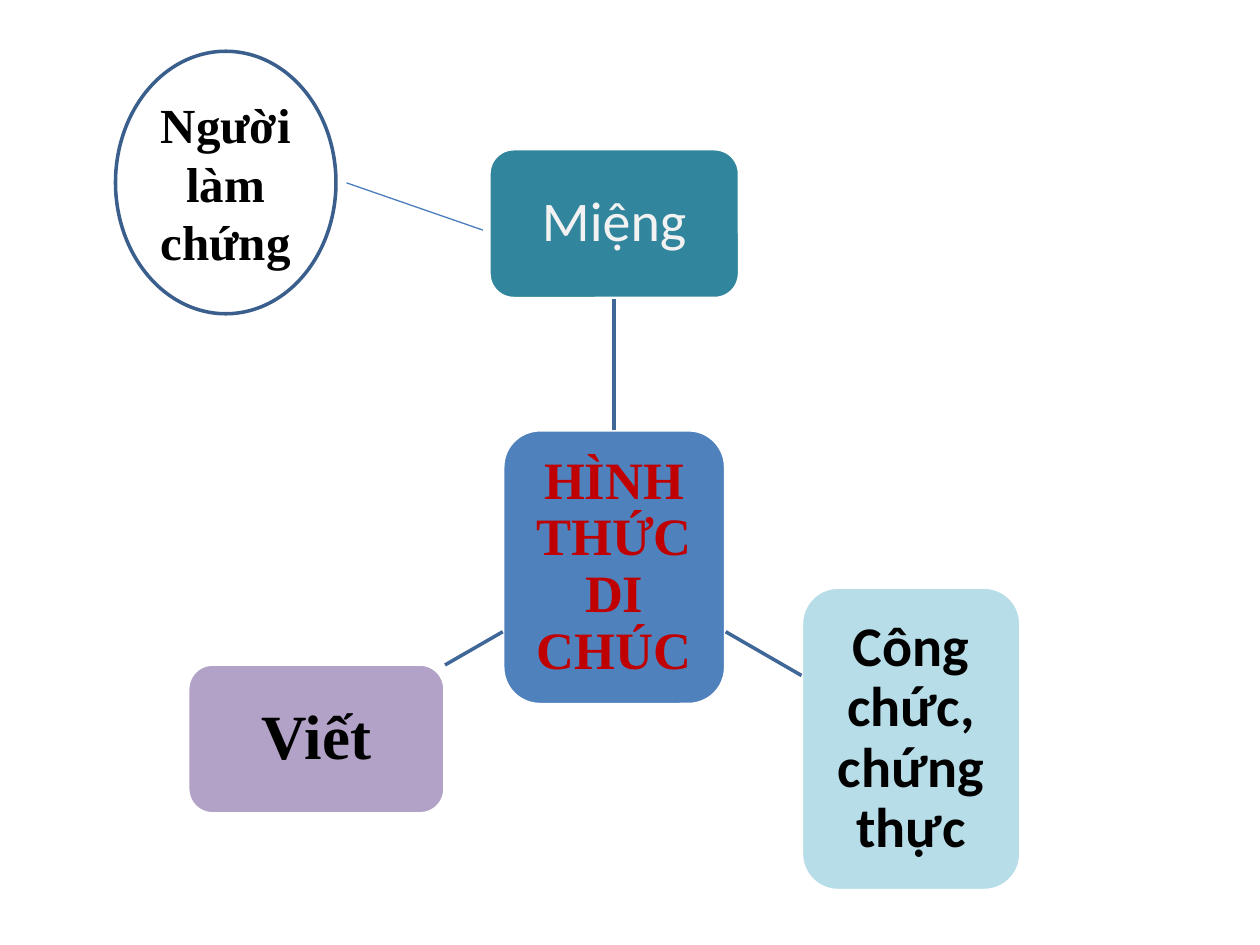
import pptx
import pptx.util
import pptx.dml.color
import pptx.enum.shapes
import pptx.enum.text
import lxml.etree

Pt = pptx.util.Pt
Kind = pptx.enum.shapes.MSO_SHAPE
SERIF, SANS = "Times New Roman", "Calibri"


def paint(form, color):
    """Set a solid colour on a fill."""
    form.solid()
    form.fore_color.rgb = pptx.dml.color.RGBColor.from_string(color)


def link(start, end, color, width):
    """Draw a straight line between two points, without a shadow."""
    line = slide.shapes.add_connector(
        pptx.enum.shapes.MSO_CONNECTOR.STRAIGHT, *map(Pt, start + end))
    paint(line.line.fill, color)
    line.line.width = Pt(width)
    props = line._element.spPr
    lxml.etree.SubElement(props, pptx.oxml.ns.qn("a:effectLst"))
    return line


prs = pptx.Presentation()
prs.slide_width, prs.slide_height = Pt(720), Pt(540)
slide = prs.slides.add_slide(prs.slide_layouts[6])

# Nodes: text, kind, place, fill, outline, font, size, text colour, bold, inset, spacing
ROUND = Kind.ROUNDED_RECTANGLE
nodes = [
    ("HÌNH THỨC DI CHÚC", ROUND, (287.3, 245.6, 127.4, 157), "4F81BD", "FFFFFF",
     SERIF, 30, "C00000", True, 6, 0.9),
    ("Miệng", ROUND, (279.4, 85, 143.2, 85.6), "31859C", "FFFFFF",
     SANS, 32, "F2F2F2", False, 6.5, 0.9),
    ("Công chức, chứng thực", ROUND, (458, 335.5, 125.4, 173.4), "B7DEE8", "FFFFFF",
     SANS, 32, "000000", True, 6.5, 0.9),
    ("Viết", ROUND, (107.3, 379.5, 147, 85.6), "B3A2C7", "FFFFFF",
     SERIF, 36, "000000", True, 7, 0.9),
    ("Người làm chứng", Kind.OVAL, (66, 29.3, 126, 150), "FFFFFF", "3A5F8C",
     SERIF, 28, "000000", True, 5, 1.0),
]
made = []
for text, kind, place, fill, edge, face, size, ink, bold, inset, gap in nodes:
    node = slide.shapes.add_shape(kind, *map(Pt, place))
    node.shadow.inherit = False
    paint(node.fill, fill)
    paint(node.line.fill, edge)
    node.line.width = Pt(2)
    frame = node.text_frame
    frame.word_wrap = True
    frame.vertical_anchor = pptx.enum.text.MSO_ANCHOR.MIDDLE
    frame.margin_left = frame.margin_right = Pt(inset)
    frame.margin_top = frame.margin_bottom = Pt(inset)
    para = frame.paragraphs[0]
    para.text = text
    para.alignment = pptx.enum.text.PP_ALIGN.CENTER
    para.line_spacing = gap
    para.font.name, para.font.size, para.font.bold = face, Pt(size), bold
    paint(para.font.fill, ink)
    made.append(node)

# Spokes from the centre
hub, oral = made[:2]
spoke = link((351, 245.6), (351, 170.6), "3F6797", 2)
spoke.begin_connect(hub, 0)
spoke.end_connect(oral, 2)
link((414.7, 361), (458, 386), "3F6797", 2)
link((287.3, 361), (254.3, 380), "3F6797", 2)

# Thin line to the witness
link((276, 131.5), (198, 104.5), "4B7EBC", 0.75)

prs.save("out.pptx")
